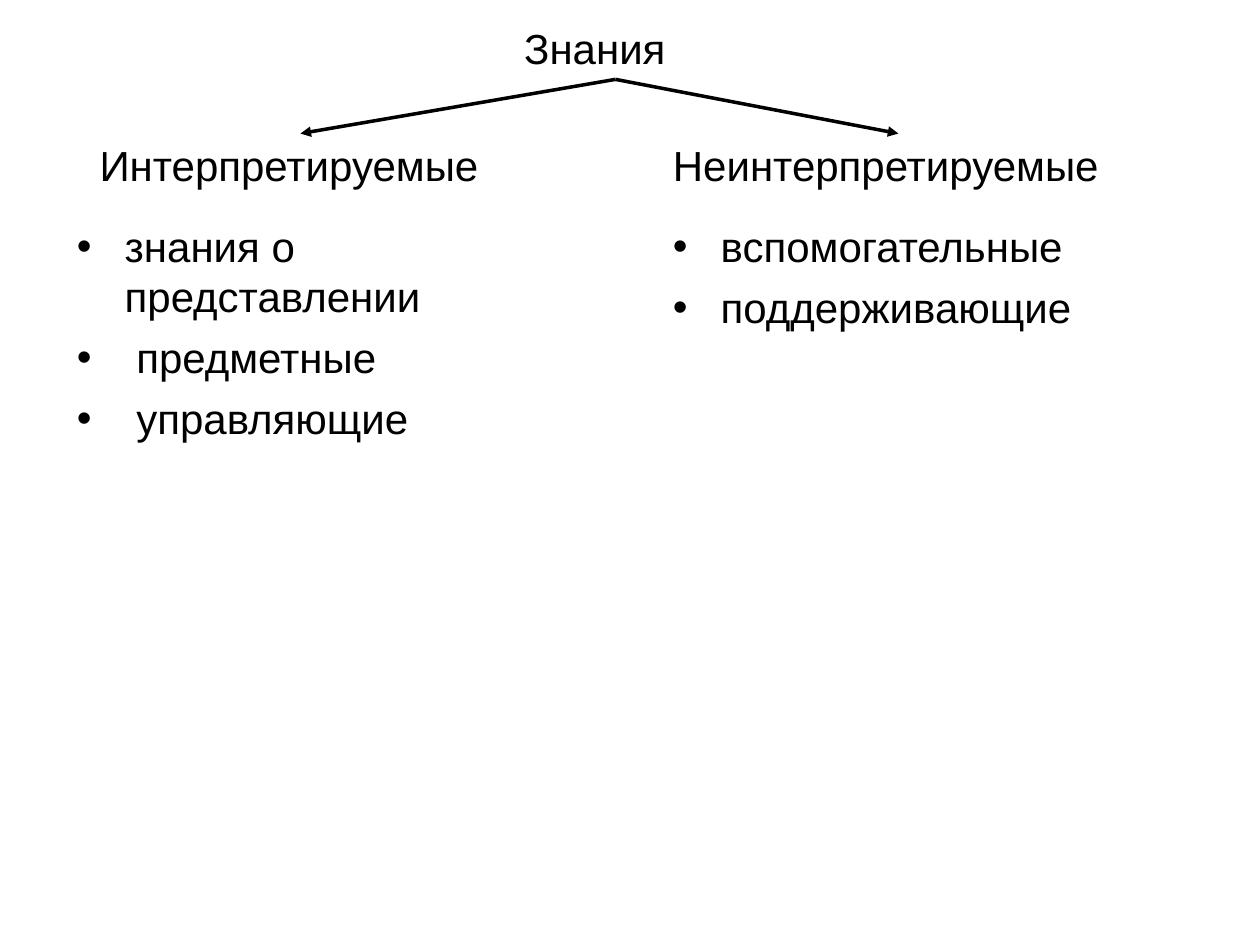
"""Builds a slide that classifies knowledge into two branches with their kinds."""
from dataclasses import dataclass

from lxml.etree import SubElement
from pptx import Presentation
from pptx.dml.color import RGBColor
from pptx.enum.shapes import MSO_CONNECTOR as Connector
from pptx.enum.text import MSO_ANCHOR as Anchor, MSO_AUTO_SIZE as AutoSize, PP_ALIGN as Align
from pptx.oxml.ns import qn
from pptx.util import Inches, Pt


@dataclass(frozen=True)
class Theme:
    """Holds the colours, font and sizes of the slide."""
    ink: RGBColor = RGBColor(0, 0, 0)
    paper: RGBColor = RGBColor(255, 255, 255)
    font: str = "Arial"
    text_size: Pt = Pt(24)
    line_width: Pt = Pt(2)
    item_gap: Pt = Pt(6)
    hanging: Inches = Inches(0.38)


THEME = Theme()
COMPARISON_LAYOUT = 4
TOP, BOTTOM = 0, 2
BRANCHES = [
    ("Интерпретируемые", (0.69, 1.06, 3.39, 0.5),
     ["знания о представлении", " предметные", " управляющие"], (0.51, 1.7, 3.03, 3.34)),
    ("Неинтерпретируемые", (5.24, 1.06, 3.78, 0.5),
     ["вспомогательные", "поддерживающие"], (5.24, 1.7, 4.02, 2.05)),
]


def fill_placeholder(holder, lines, box):
    """Places a placeholder and sets its text in the theme's style."""
    holder.left, holder.top, holder.width, holder.height = map(Inches, box)
    frame = holder.text_frame
    frame.text = "\n".join(lines)
    frame.word_wrap = True
    frame.auto_size = AutoSize.NONE
    frame.vertical_anchor = Anchor.TOP
    frame.margin_left = frame.margin_right = Inches(0.1)
    frame.margin_top = frame.margin_bottom = Inches(0.05)
    for paragraph in frame.paragraphs:
        paragraph.alignment = Align.LEFT
        paragraph.space_before = Pt(0)
        for run in paragraph.runs:
            run.font.name = THEME.font
            run.font.size = THEME.text_size
            run.font.bold = False
            run.font.color.rgb = THEME.ink
    return holder


def fill_list(holder, items, box):
    """Fills a body placeholder with hanging bulleted items."""
    fill_placeholder(holder, items, box)
    for paragraph in holder.text_frame.paragraphs:
        paragraph.space_before = THEME.item_gap
        properties = paragraph._p.get_or_add_pPr()
        properties.set("marL", str(THEME.hanging))
        properties.set("indent", str(-THEME.hanging))


def add_arrow(slide, parent, child):
    """Joins the bottom of the parent to the top of the child with an arrow."""
    arrow = slide.shapes.add_connector(Connector.STRAIGHT, 0, 0, 0, 0)
    arrow.begin_connect(parent, BOTTOM)
    arrow.end_connect(child, TOP)
    arrow.line.color.rgb = THEME.ink
    arrow.line.width = THEME.line_width
    SubElement(arrow.line._get_or_add_ln(), qn("a:tailEnd"), type="triangle")
    SubElement(arrow._element.spPr, qn("a:effectLst"))


def main():
    """Builds and saves the slide."""
    deck = Presentation()
    deck.slide_width, deck.slide_height = Inches(10), Inches(7.5)
    slide = deck.slides.add_slide(deck.slide_layouts[COMPARISON_LAYOUT])
    slide.background.fill.solid()
    slide.background.fill.fore_color.rgb = THEME.paper
    root = fill_placeholder(slide.shapes.title, ["Знания"], (4.06, 0.13, 1.65, 0.5))
    _, *bodies = slide.placeholders
    for (heading, heading_box, kinds, kinds_box), heading_holder, kinds_holder in zip(
            BRANCHES, bodies[::2], bodies[1::2]):
        branch = fill_placeholder(heading_holder, [heading], heading_box)
        fill_list(kinds_holder, kinds, kinds_box)
        add_arrow(slide, root, branch)
    deck.save("out.pptx")


if __name__ == "__main__":
    main()
